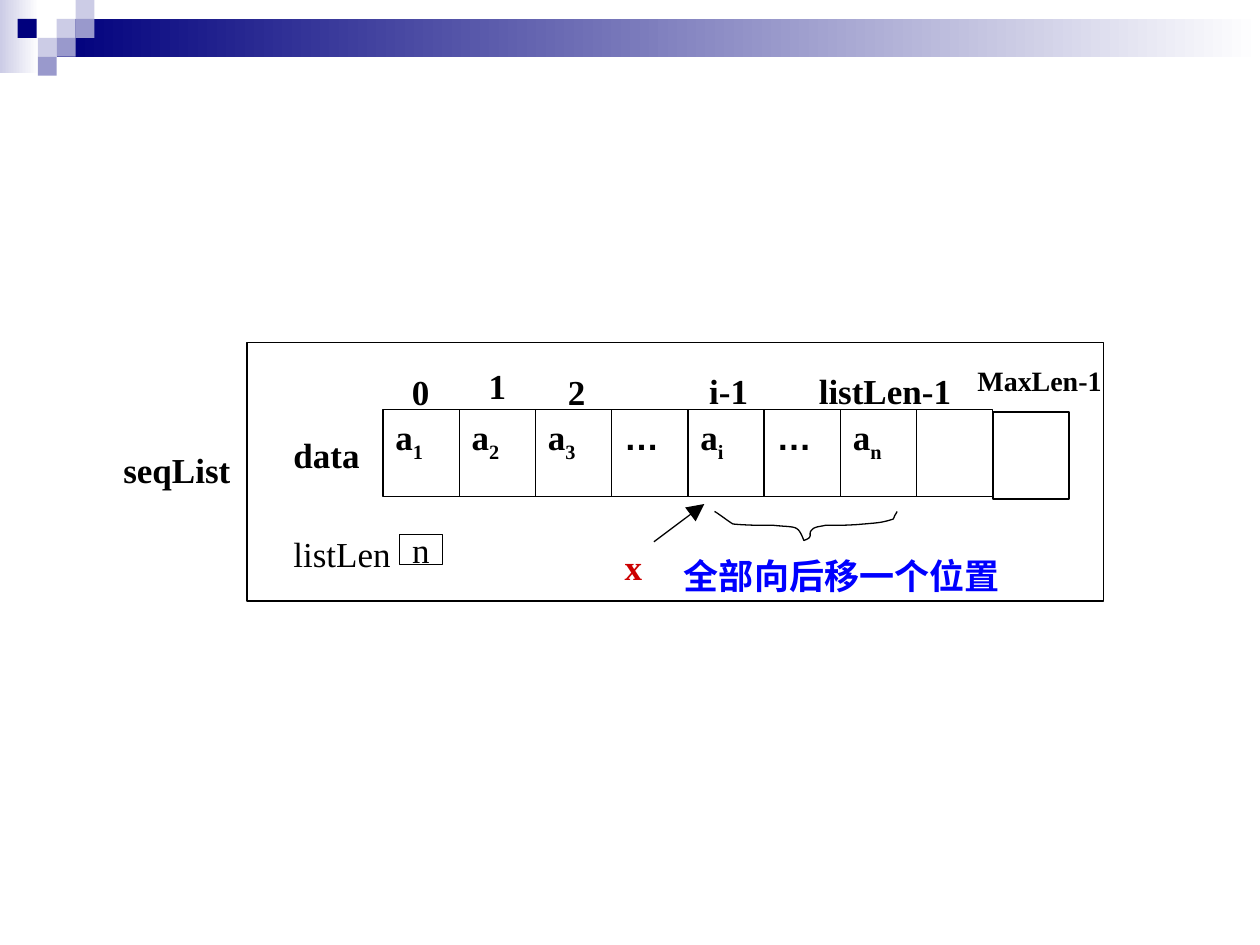
from lxml import etree
from pptx import Presentation
from pptx.dml.color import RGBColor
from pptx.enum.shapes import MSO_CONNECTOR as Connector, MSO_SHAPE as Shape
from pptx.enum.text import MSO_ANCHOR as Anchor, MSO_AUTO_SIZE as AutoSize, PP_ALIGN as Align
from pptx.oxml.ns import qn
from pptx.util import Inches, Pt

COLORS = {
    "navy": "00007D", "violet": "9999CC", "lilac": "CCCCE6", "white": "FFFFFF",
    "black": "000000", "red": "CC0000", "blue": "0000FF",
}


def rgb(name):
    return RGBColor.from_string(COLORS[name])


def write_text(frame, text, sub="", size=20, font="Times New Roman", color="black",
               bold=True, align=Align.JUSTIFY, anchor=Anchor.TOP, wrap=True):
    """Fill a text frame with text and an optional subscript."""
    frame.word_wrap = wrap
    frame.vertical_anchor = anchor
    paragraph = frame.paragraphs[0]
    paragraph.alignment = align
    for part, is_sub in ((text, False), (sub, True)):
        if not part:
            continue
        run = paragraph.add_run()
        run.text = part
        run.font.size = Pt(size)
        run.font.name = font
        run.font.bold = bold
        run.font.color.rgb = rgb(color)
        if is_sub:
            run.font._element.set("baseline", "-25000")


def curve_points(start, segments, steps=12):
    """Points along a chain of cubic curves, without the start point."""
    points = []
    for first, second, end in segments:
        for step in range(1, steps + 1):
            t = step / steps
            u = 1 - t
            points.append(tuple(
                u**3 * a + 3 * u**2 * t * b + 3 * u * t**2 * c + t**3 * d
                for a, b, c, d in zip(start, first, second, end)))
        start = end
    return points


class Sketch:
    """Holds the slide and the line style of the diagram."""

    def __init__(self, slide, line_width=0.75, line_color="black"):
        self.shapes = slide.shapes
        self.line_width = Pt(line_width)
        self.line_color = rgb(line_color)

    def outline(self, line):
        line.width = self.line_width
        line.color.rgb = self.line_color

    def block(self, left, top, width, height, color, fade_to=None):
        block = self.shapes.add_shape(Shape.RECTANGLE, *map(Inches, (left, top, width, height)))
        block.shadow.inherit = False
        block.line.fill.background()
        if fade_to:
            block.fill.gradient()
            block.fill.gradient_angle = 0
            for stop, name, position in zip(block.fill.gradient_stops, (color, fade_to), (0, 1)):
                stop.color.rgb = rgb(name)
                stop.position = position
        else:
            block.fill.solid()
            block.fill.fore_color.rgb = rgb(color)

    def box(self, left, top, width, height, text="", **text_format):
        box = self.shapes.add_shape(Shape.RECTANGLE, *map(Inches, (left, top, width, height)))
        box.shadow.inherit = False
        box.fill.background()
        self.outline(box.line)
        if text:
            write_text(box.text_frame, text, **text_format)

    def label(self, left, top, width, height, text, grow=False, **text_format):
        label = self.shapes.add_textbox(*map(Inches, (left, top, width, height)))
        write_text(label.text_frame, text, **text_format)
        label.text_frame.auto_size = AutoSize.SHAPE_TO_FIT_TEXT if grow else AutoSize.NONE

    def tag(self, left, top, width, text, wrap=False, **text_format):
        self.label(left, top, width, 0.44, text, grow=True, wrap=wrap,
                   align=Align.LEFT, **text_format)

    def curve(self, start, segments):
        builder = self.shapes.build_freeform(*map(Inches, start))
        builder.add_line_segments(
            [(Inches(x), Inches(y)) for x, y in curve_points(start, segments)], close=False)
        curve = builder.convert_to_shape()
        curve.shadow.inherit = False
        curve.fill.background()
        self.outline(curve.line)

    def arrow(self, start, end):
        arrow = self.shapes.add_connector(Connector.STRAIGHT, *map(Inches, start + end))
        self.outline(arrow.line)
        etree.SubElement(arrow.line._get_or_add_ln(), qn("a:tailEnd"),
                         type="triangle", w="lg", len="lg")
        etree.SubElement(arrow._element.spPr, qn("a:effectLst"))


def main():
    prs = Presentation()
    prs.slide_width, prs.slide_height = Inches(10), Inches(7.5)
    sketch = Sketch(prs.slides.add_slide(prs.slide_layouts[6]))

    # Header band and mosaic
    sketch.block(0, 0, 0.31, 0.58, "lilac", fade_to="white")
    sketch.block(0.45, 0.15, 9.55, 0.3, "navy", fade_to="white")
    tile = 0.15
    for left, top, color in (
            (0.45, 0.15, "lilac"), (0.6, 0, "lilac"), (0.6, 0.15, "violet"),
            (0.3, 0.3, "lilac"), (0.14, 0.15, "navy"), (0.45, 0.3, "violet"),
            (0.3, 0.45, "violet")):
        sketch.block(left, top, tile, tile, color)

    # Array cells; the last one sits slightly lower
    first_left, last_left, cell_top, cell_height = 3.04, 7.88, 3.25, 0.69
    elements = [("a", "1"), ("a", "2"), ("a", "3"), ("…", ""), ("a", "i"),
                ("…", ""), ("a", "n"), ("", "")]
    pitch = (last_left - first_left) / len(elements)
    for index, (name, sub) in enumerate(elements):
        sketch.box(first_left + index * pitch, cell_top, pitch, cell_height, name, sub=sub,
                   font="Arial" if name == "…" else "Times New Roman")
    sketch.box(last_left, 3.27, pitch, cell_height)

    # Index labels above the cells
    sketch.tag(3.17, 2.89, 0.34, "0")
    sketch.tag(3.78, 2.84, 0.31, "1", wrap=True)
    sketch.tag(4.41, 2.89, 0.34, "2")
    sketch.tag(5.53, 2.88, 0.51, "i-1")
    sketch.label(6.4, 2.88, 1.35, 0.36, "listLen-1")
    sketch.label(7.66, 2.84, 1.26, 0.37, "MaxLen-1", size=16)

    # Structure frame, field names and length field
    sketch.box(1.96, 2.72, 6.8, 2.05)
    sketch.label(0.88, 3.51, 1.08, 0.43, "seqList")
    sketch.label(2.23, 3.39, 0.81, 0.44, "data")
    sketch.label(2.23, 4.18, 1.01, 0.36, "listLen", bold=False)
    sketch.box(3.17, 4.24, 0.34, 0.24, "n", bold=False, align=Align.CENTER,
               anchor=Anchor.MIDDLE, wrap=False)

    # Insertion of x and the elements that shift
    sketch.tag(4.86, 4.28, 0.34, "x", color="red")
    sketch.arrow((5.19, 4.3), (5.59, 4))
    sketch.curve((5.67, 4.06), [
        ((5.68, 4.06), (5.81, 4.16), (5.82, 4.16)),
        ((5.93, 4.17), (6.03, 4.17), (6.14, 4.17)),
        ((6.32, 4.19), (6.33, 4.16), (6.38, 4.29)),
        ((6.47, 4.26), (6.4, 4.24), (6.45, 4.2)),
        ((6.47, 4.18), (6.51, 4.18), (6.55, 4.17)),
        ((6.65, 4.17), (6.75, 4.17), (6.85, 4.16)),
        ((6.96, 4.15), (7, 4.15), (7.09, 4.12)),
        ((7.11, 4.07), (7.1, 4.1), (7.12, 4.06)),
    ])
    sketch.tag(5.33, 4.35, 2.8, "全部向后移一个位置", color="blue", wrap=True)

    prs.save("out.pptx")


if __name__ == "__main__":
    main()
